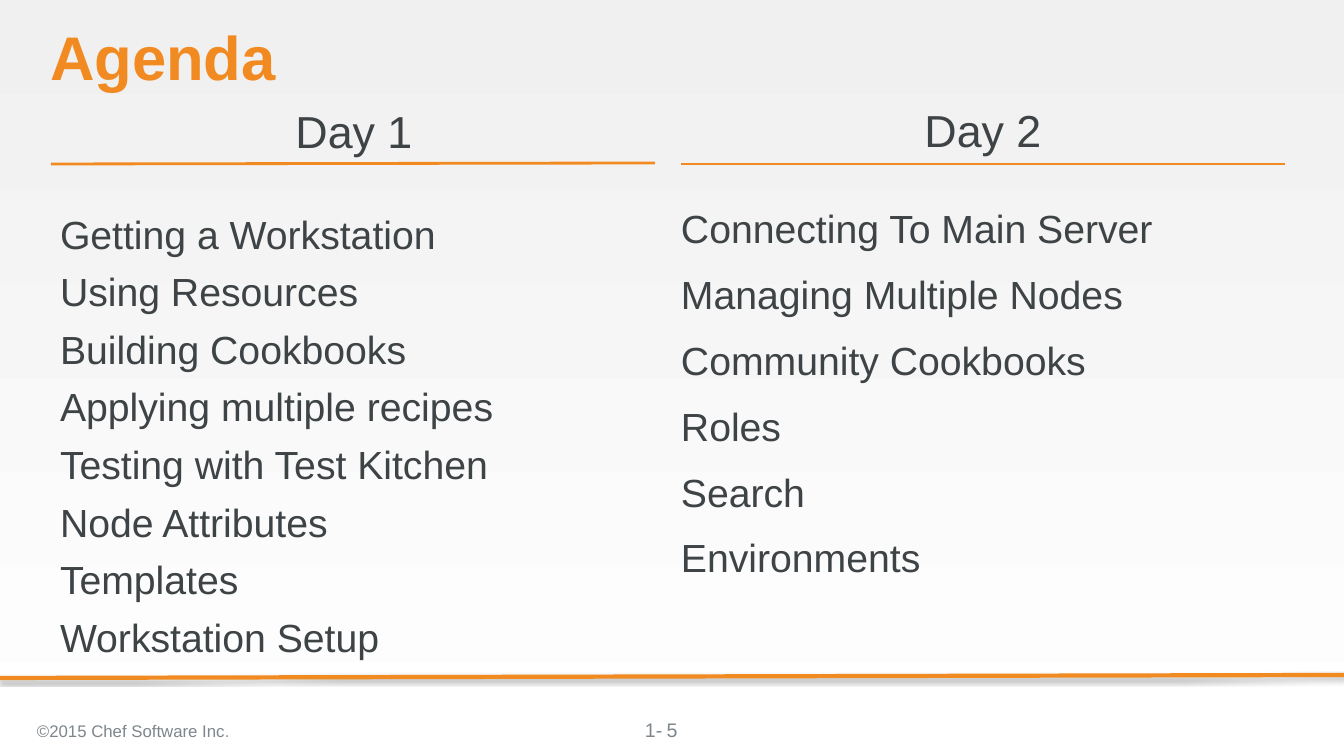
from lxml import etree
from pptx import Presentation
from pptx.dml.color import RGBColor
from pptx.enum.shapes import MSO_CONNECTOR
from pptx.enum.text import MSO_ANCHOR, MSO_AUTO_SIZE, PP_ALIGN
from pptx.oxml.ns import qn
from pptx.util import Pt

STRAIGHT = MSO_CONNECTOR.STRAIGHT
TOP, MIDDLE, BOTTOM = MSO_ANCHOR.TOP, MSO_ANCHOR.MIDDLE, MSO_ANCHOR.BOTTOM
LEFT, CENTER = PP_ALIGN.LEFT, PP_ALIGN.CENTER
NO_FIT = MSO_AUTO_SIZE.NONE

EMU_PER_PX = 914400 / 100.8
FONT = "Arial"
COLORS = {
    "orange": "F18B21",
    "text": "3E4346",
    "footer": "7D868C",
    "stop": "929494",
    "shadow": "000000",
    "top": "F0F0F0",
    "bottom": "FFFFFF",
}
INSET = (10, 5)
NO_INSET = (0, 0)

TITLE = "Agenda"
DAYS = [
    {
        "heading": "Day 1",
        "heading_box": (49, 104, 610, 70),
        "rule": (51, 164, 655, 163),
        "topics": [
            "Getting a Workstation",
            "Using Resources",
            "Building Cookbooks",
            "Applying multiple recipes",
            "Testing with Test Kitchen",
            "Node Attributes",
            "Templates",
            "Workstation Setup",
        ],
        "topics_box": (50, 205, 605, 540),
        "inset": INSET,
        "gap": 7.5,
    },
    {
        "heading": "Day 2",
        "heading_box": (678, 103, 610, 70),
        "rule": (681, 164, 1285, 164),
        "topics": [
            "Connecting To Main Server",
            "Managing Multiple Nodes",
            "Community Cookbooks",
            "Roles",
            "Search",
            "Environments",
        ],
        "topics_box": (681, 204, 605, 540),
        "inset": NO_INSET,
        "gap": 13.5,
    },
]
FOOTER_RULE = (1344, 675, 0, 678)
COPYRIGHT = ("©2015 Chef Software Inc", ".")


def px(length):
    return round(length * EMU_PER_PX)


def color(name):
    return RGBColor.from_string(COLORS[name])


def format_font(font, size, color_name, bold=False):
    font.name = FONT
    font.size = Pt(size)
    font.bold = bold
    font.color.rgb = color(color_name)


def fill_text(shape, box, lines, size, color_name, inset=NO_INSET,
              align=LEFT, anchor=TOP, gap=0, bold=False):
    shape.left, shape.top, shape.width, shape.height = map(px, box)
    frame = shape.text_frame
    frame.word_wrap = True
    frame.auto_size = NO_FIT
    frame.vertical_anchor = anchor
    frame.margin_left = frame.margin_right = px(inset[0])
    frame.margin_top = frame.margin_bottom = px(inset[1])
    frame.text = "\n".join(lines)
    for index, paragraph in enumerate(frame.paragraphs):
        paragraph.alignment = align
        paragraph.space_before = Pt(gap if index else 0)
        for run in paragraph.runs:
            format_font(run.font, size, color_name, bold)
    return frame


def add_text(slide, box, *args, **options):
    shape = slide.shapes.add_textbox(*map(px, box))
    return fill_text(shape, box, *args, **options)


def add_rule(slide, ends, width):
    rule = slide.shapes.add_connector(STRAIGHT, *map(px, ends))
    rule.line.color.rgb = color("orange")
    rule.line.width = Pt(width)
    return etree.SubElement(rule._element.spPr, qn("a:effectLst"))


def add_shadow(effects):
    shadow = etree.SubElement(
        effects, qn("a:outerShdw"), blurRad=str(Pt(3.1)), dist=str(Pt(1.8)),
        dir="5400000", algn="t", rotWithShape="0")
    tint = etree.SubElement(shadow, qn("a:srgbClr"), val=COLORS["shadow"])
    etree.SubElement(tint, qn("a:alpha"), val="35000")


def paint_background(slide):
    fill = slide.background.fill
    fill.gradient()
    fill.gradient_angle = 270
    for stop, name, position in zip(fill.gradient_stops, ("top", "bottom"), (0, 1)):
        stop.color.rgb = color(name)
        stop.position = position


def add_footer(slide):
    add_shadow(add_rule(slide, FOOTER_RULE, 3))
    add_text(slide, (645, 718, 60, 24), ["1-"], 14, "footer")
    add_text(slide, (521, 710, 302, 40), ["5"], 14, "footer", INSET, CENTER, MIDDLE)
    frame = add_text(slide, (27, 710, 470, 42), COPYRIGHT[:1], 12, "footer",
                     INSET, anchor=MIDDLE)
    full_stop = frame.paragraphs[0].add_run()
    full_stop.text = COPYRIGHT[1]
    format_font(full_stop.font, 12, "stop")


def main():
    presentation = Presentation()
    presentation.slide_width, presentation.slide_height = px(1344), px(756)
    slide = presentation.slides.add_slide(presentation.slide_layouts[5])
    paint_background(slide)
    title = fill_text(slide.shapes.title, (50, 25, 1235, 69), [TITLE], 44, "orange",
                      anchor=BOTTOM, bold=True)
    title.paragraphs[0].line_spacing = 0.9
    add_footer(slide)
    for day in DAYS:
        add_text(slide, day["topics_box"], day["topics"], 28, "text",
                 day["inset"], gap=day["gap"])
        add_rule(slide, day["rule"], 2)
        add_text(slide, day["heading_box"], [day["heading"]], 32, "text", align=CENTER)
    presentation.save("out.pptx")


if __name__ == "__main__":
    main()
